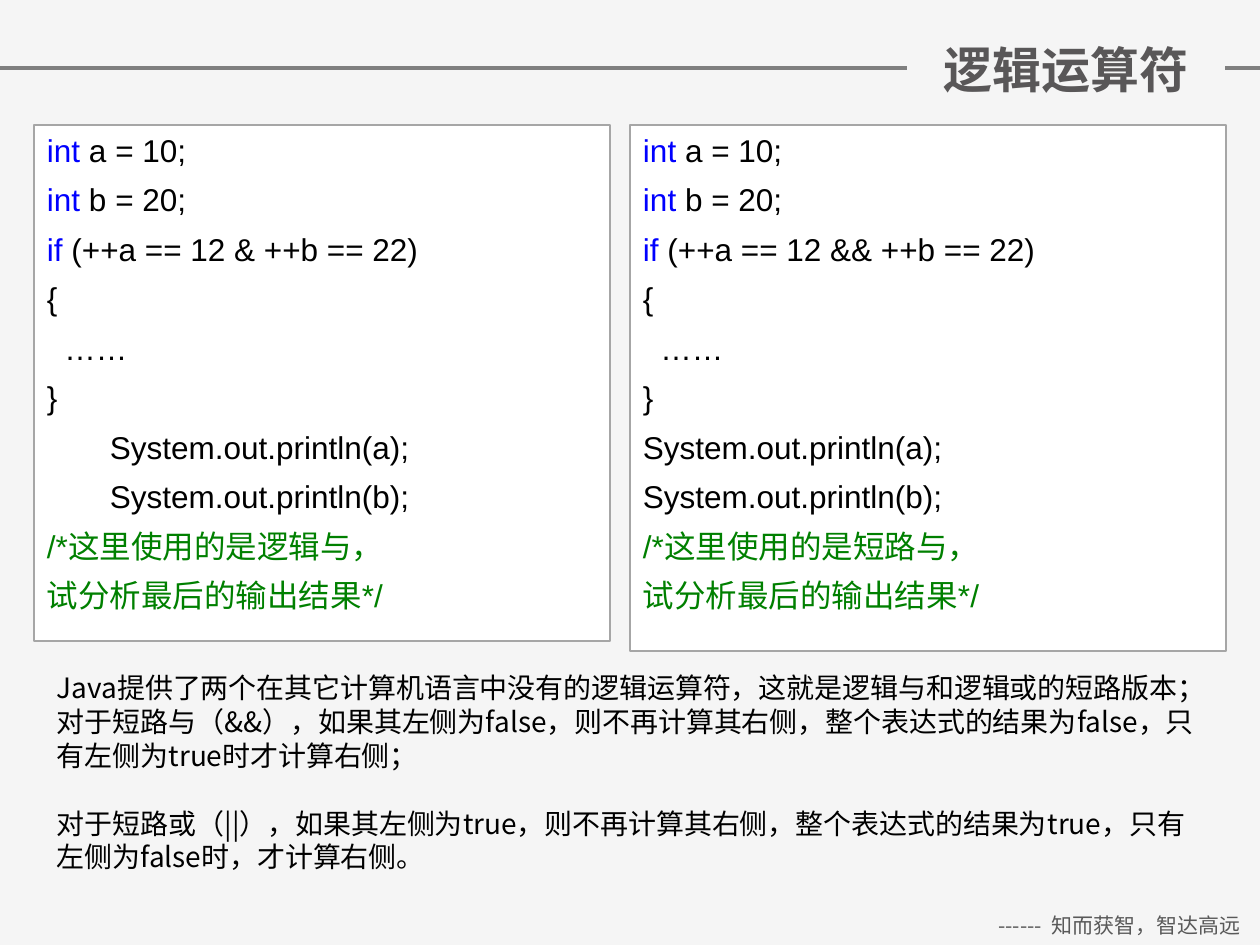
from lxml import etree
from pptx import Presentation
from pptx import util as u
from pptx.dml.color import RGBColor
from pptx.enum import shapes, text
from pptx.oxml.ns import qn

HEX = {"back": "F5F5F5", "rule": "7F7F7F", "foot": "595959", "title": "595758",
       "panel": "FFFFFF", "edge": "A6A6A6", "key": "0000FF", "code": "000000",
       "note": "008000"}
CJK, LATIN = "Noto Sans CJK SC", "Arial"
KEYS = ("int", "if")
STEP = 63  # indent of one code level


def px(n):
    return u.Emu(round(n * 914400 / 126))


def rgb(name):
    return RGBColor.from_string(HEX[name])


def write(para, words, size=16, face=CJK, color="code", bold=False):
    run = para.add_run()
    run.text = words
    font = run.font
    font.size, font.name, font.bold = u.Pt(size), face, bold
    font.color.rgb = rgb(color)
    east = etree.SubElement(run._r.get_or_add_rPr(), qn("a:ea"))
    east.set("typeface", face)


def setup(frame, anchor=text.MSO_ANCHOR.TOP, side=13, top=6):
    frame.word_wrap = True
    frame.vertical_anchor = anchor
    frame.margin_left = frame.margin_right = px(side)
    frame.margin_top = frame.margin_bottom = px(top)


def place(shape, box):
    shape.left, shape.top, shape.width, shape.height = map(px, box)


def rows(frame, count):
    """Yield the frame's paragraphs, adding those that are missing."""
    yield frame.paragraphs[0]
    for _ in range(count - 1):
        yield frame.add_paragraph()


def head(slide, box, words):
    left, top, wide, high = box
    title = slide.shapes.title
    place(title, box)
    title.fill.solid()
    title.fill.fore_color.rgb = rgb("back")
    frame = title.text_frame
    setup(frame, text.MSO_ANCHOR.MIDDLE, 0, 0)
    para = frame.paragraphs[0]
    para.alignment = text.PP_ALIGN.CENTER
    write(para, words, size=28, color="title", bold=True)

    mid = px(top + high // 2 - 1)
    rule = slide.shapes.add_connector(
        shapes.MSO_CONNECTOR.STRAIGHT, 0, mid, px(1260), mid)
    rule.line.color.rgb = rgb("rule")
    rule.line.width = u.Pt(2)
    etree.SubElement(rule._element.spPr, qn("a:effectLst"))
    title._element.addprevious(rule._element)  # the rule runs behind the title


def panel(slide, box, mark, name, level=0):
    """Code sample that uses one form of the AND operator."""
    lines = ["int a = 10;", "int b = 20;", f"if (++a == 12 {mark} ++b == 22)",
             "{", "  ……", "}", "System.out.println(a);", "System.out.println(b);"]
    notes = [f"/*这里使用的是{name}，", "试分析最后的输出结果*/"]
    card = slide.shapes.add_shape(shapes.MSO_SHAPE.RECTANGLE, *map(px, box))
    card.shadow.inherit = False
    card.fill.solid()
    card.fill.fore_color.rgb = rgb("panel")
    card.line.color.rgb = rgb("edge")
    card.line.width = u.Pt(1)
    frame = card.text_frame
    setup(frame)
    style = {"size": 18, "face": LATIN}
    for i, para in enumerate(rows(frame, len(lines + notes))):
        para.alignment = text.PP_ALIGN.LEFT
        para.line_spacing = u.Pt(21.5)
        para.space_before = u.Pt(6.8 if i else 0)
        if i >= len(lines):
            write(para, notes[i - len(lines)], color="note", **style)
            continue
        line = lines[i]
        if level and line.startswith("System"):
            para.level = level
            para._p.get_or_add_pPr().set("marL", str(px(STEP * level)))
        key = line.split(" ")[0]
        if key in KEYS:
            write(para, key, color="key", **style)
            line = line[len(key):]
        write(para, line, **style)


def body(slide, box, items):
    frame = slide.shapes.add_textbox(*map(px, box)).text_frame
    setup(frame)
    for para, (words, gap) in zip(rows(frame, len(items)), items):
        para.line_spacing = u.Pt(19.4)
        para.space_before = u.Pt(gap)
        write(para, words)


def foot(slide, box, words):
    frame = slide.shapes.add_textbox(*map(px, box)).text_frame
    setup(frame)
    para = frame.paragraphs[0]
    para.alignment = text.PP_ALIGN.CENTER
    write(para, words, size=12, color="foot")


def main():
    deck = Presentation()
    deck.slide_width, deck.slide_height = px(1260), px(945)
    slide = deck.slides.add_slide(deck.slide_layouts[5])
    slide.background.fill.solid()
    slide.background.fill.fore_color.rgb = rgb("back")
    head(slide, (907, 33, 318, 72), "逻辑运算符")
    panel(slide, (34, 125, 576, 516), "&", "逻辑与", level=1)
    panel(slide, (630, 125, 596, 526), "&&", "短路与")
    body(slide, (44, 664, 1181, 248), [
        ("Java提供了两个在其它计算机语言中没有的逻辑运算符，这就是逻辑与和逻辑或的短路版本；", 0),
        ("对于短路与（&&），如果其左侧为false，则不再计算其右侧，整个表达式的结果为false，"
         "只有左侧为true时才计算右侧；", 0),
        ("对于短路或（||），如果其左侧为true，则不再计算其右侧，整个表达式的结果为true，"
         "只有左侧为false时，才计算右侧。", 19.4)])
    foot(slide, (978, 907, 283, 38), "------  知而获智，智达高远")
    deck.save("out.pptx")


if __name__ == "__main__":
    main()
